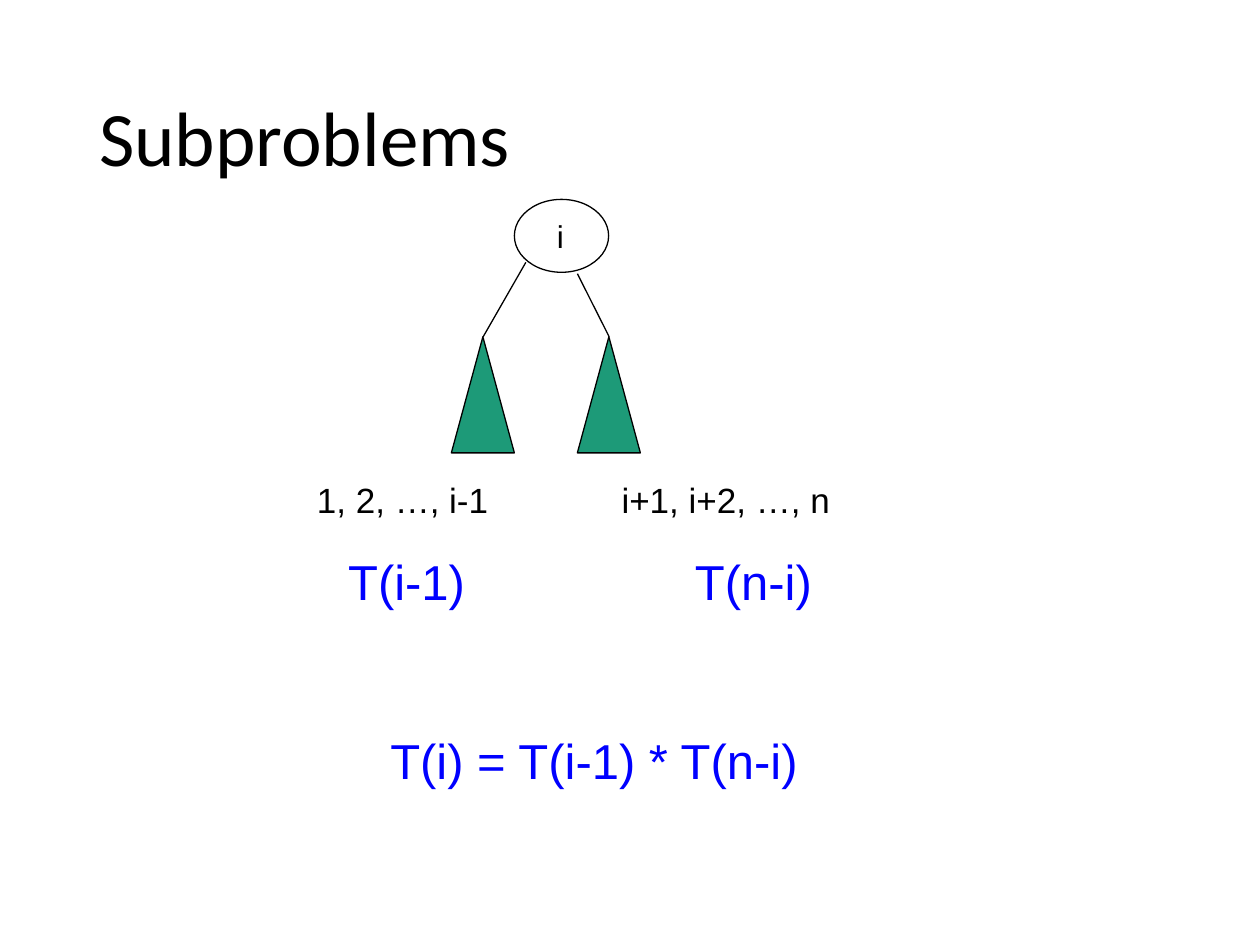
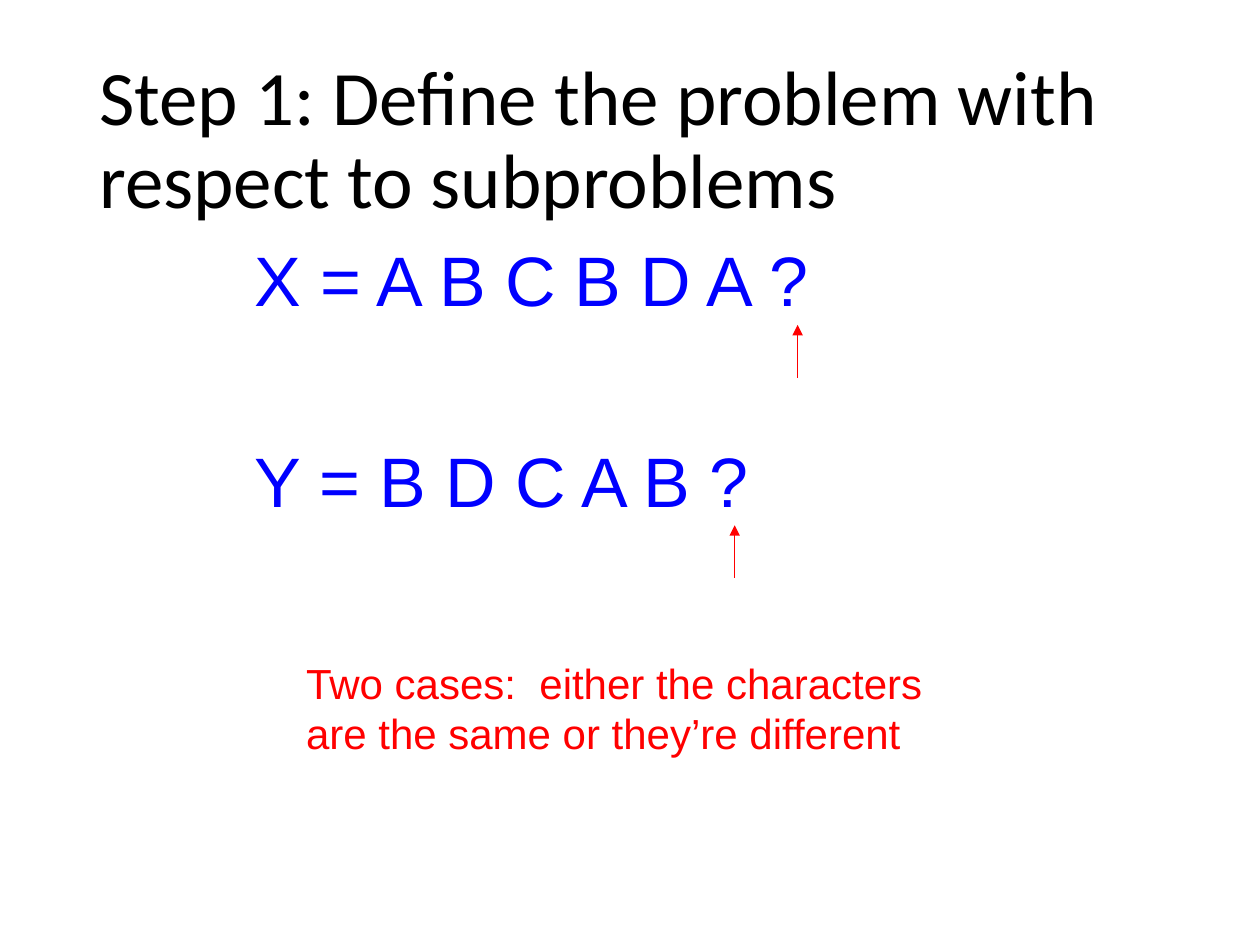
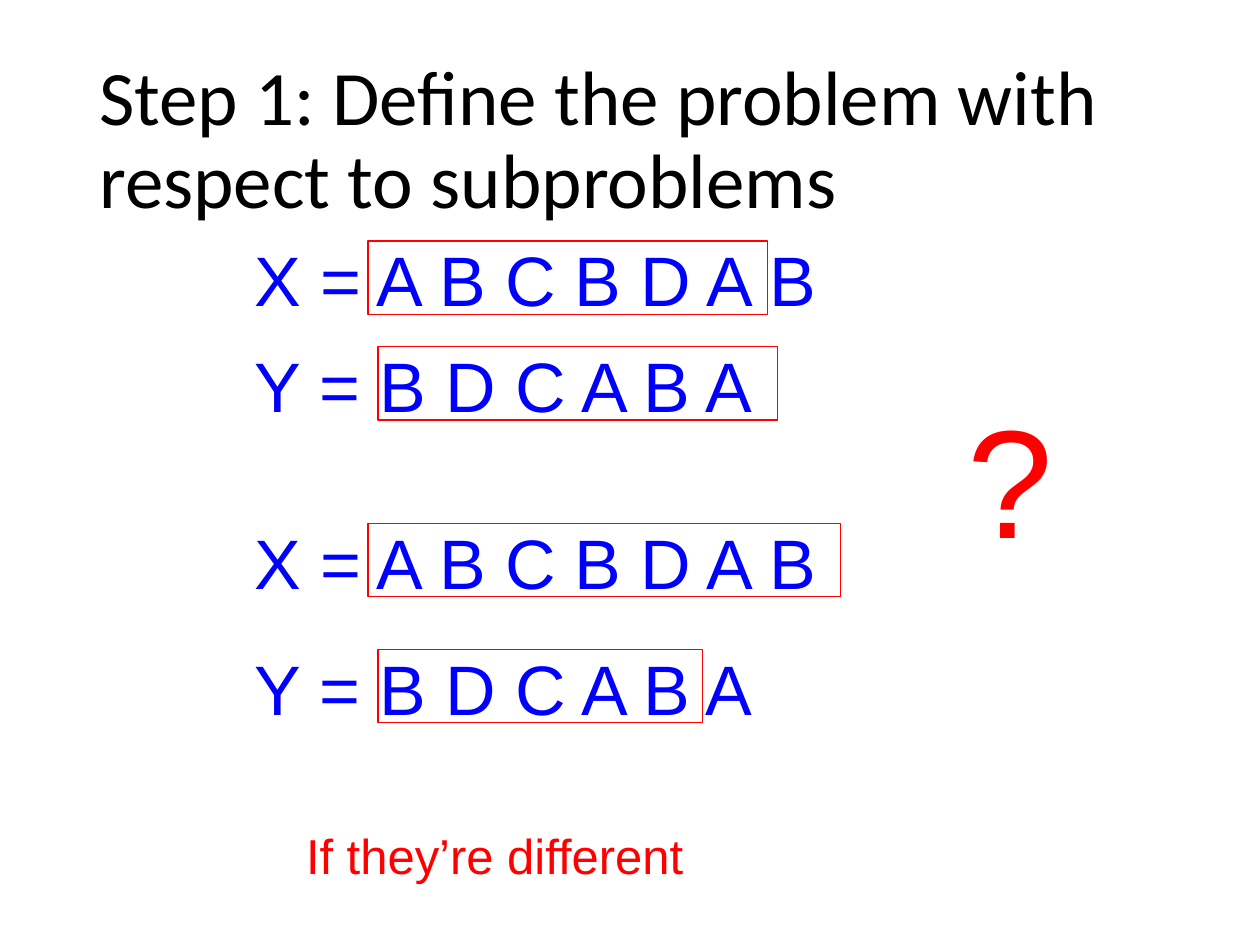
from lxml import etree
from pptx import Presentation
from pptx.dml.color import RGBColor
from pptx.enum.shapes import MSO_CONNECTOR, MSO_SHAPE
from pptx.enum.text import MSO_ANCHOR
from pptx.oxml.ns import qn
from pptx.util import Cm, Pt

LINE = MSO_CONNECTOR.STRAIGHT
OVAL = MSO_SHAPE.OVAL
RECT = MSO_SHAPE.RECTANGLE
CONE = MSO_SHAPE.ISOSCELES_TRIANGLE
MIDDLE = MSO_ANCHOR.MIDDLE

COLORS = {"ink": "000000", "blue": "0000FF", "red": "FF0000", "green": "1D9A78"}
STEP = "Step 1: Define the problem with respect to subproblems"
TITLE_BOX = (1.75, 1.02, 21.89, 3.68)
ROW_LEFT = 4.88


def color(name):
    """Return the named colour."""
    return RGBColor.from_string(COLORS[name])


def write(slide, box, text, size, tint="ink", font="Arial"):
    """Place one wrapped paragraph and return its frame."""
    frame = slide.shapes.add_textbox(*map(Cm, box)).text_frame
    frame.word_wrap = True
    frame.text = text
    style = frame.paragraphs[0].runs[0].font
    style.name, style.size = font, Pt(size)
    style.color.rgb = color(tint)
    return frame


def shape(slide, kind, box, tint="ink", fill=None):
    """Place an outlined preset shape."""
    item = slide.shapes.add_shape(kind, *map(Cm, box))
    item.shadow.inherit = False
    item.line.color.rgb = color(tint)
    item.line.width = Pt(0.75)
    if fill:
        item.fill.solid()
        item.fill.fore_color.rgb = color(fill)
    else:
        item.fill.background()


def link(slide, start, end, tint="ink", arrow=False):
    """Draw a thin line, with an arrowhead at its end if asked."""
    item = slide.shapes.add_connector(LINE, *map(Cm, (*start, *end)))
    item.line.color.rgb = color(tint)
    item.line.width = Pt(0.75)
    if arrow:
        etree.SubElement(item.line._get_or_add_ln(), qn("a:tailEnd"), type="triangle")
    etree.SubElement(item._element.spPr, qn("a:effectLst"))


def start(deck, title):
    """Add a blank slide with the shared title style."""
    slide = deck.slides.add_slide(deck.slide_layouts[6])
    frame = write(slide, TITLE_BOX, title, 44, font="Calibri")
    frame.vertical_anchor = MIDDLE
    frame.paragraphs[0].line_spacing = 0.9
    return slide


def tree(slide, left, top):
    """Draw a root node over two subtrees."""
    write(slide, (left + 1.7, top + 0.23, 1.7, 1.02), " i", 18)
    shape(slide, OVAL, (left + 1.27, top, 1.9, 1.47))
    crown = top + 2.77
    for shift, x, y in ((0, 1.5, 1.27), (2.54, 2.54, 1.5)):
        link(slide, (left + x, top + y), (left + shift + 0.64, crown))
        shape(slide, CONE, (left + shift, crown, 1.27, 2.34), fill="green")


def row(slide, top, text, frame=None, mark=None):
    """Write a sequence, with a frame (offset, width) or an arrow at mark."""
    write(slide, (ROW_LEFT, top, 13, 1.96), text, 40, "blue")
    if frame:
        shift, width = frame
        shape(slide, RECT, (ROW_LEFT + shift, top + 0.21, width, 1.48), "red")
    if mark:
        x = ROW_LEFT + mark
        link(slide, (x, top + 2.96), (x, top + 1.9), "red", True)


def split(deck):
    """Build the slide on the tree and its subproblems."""
    slide = start(deck, "Subproblems")
    tree(slide, 9.1, 4.02)
    write(slide, (6.14, 9.53, 4.45, 1.09), "1, 2, …, i-1", 20)
    write(slide, (12.28, 9.53, 5.5, 1.09), "i+1, i+2, …, n", 20)
    write(slide, (6.77, 11, 2.97, 1.45), "T(i-1)", 28, "blue")
    write(slide, (13.76, 11, 3.6, 1.45), "T(n-i)", 28, "blue")
    write(slide, (7.62, 14.6, 9.1, 1.45), "T(i) = T(i-1) * T(n-i)", 28, "blue")


def cases(deck):
    """Build the slide that compares the last characters."""
    slide = start(deck, STEP)
    row(slide, 4.65, "X = A B C B D A ?", mark=11.2)
    row(slide, 8.69, "Y = B D C A B ?", mark=9.93)
    note = "Two cases:  either the characters are the same or they’re different"
    write(slide, (5.92, 13.13, 13.54, 2.31), note, 24, "red")


def differ(deck):
    """Build the slide that drops one character from either sequence."""
    slide = start(deck, STEP)
    pairs = ((4.65, 8.05, 6.78, 8.05), (10.34, 9.53, 12.88, 6.55))
    for first, wide, second, span in pairs:
        row(slide, first, "X = A B C B D A B", (2.54, wide))
        row(slide, second, "Y = B D C A B A", (2.74, span))
    write(slide, (5.92, 16.51, 9.1, 1.45), "If they’re different", 28, "red")
    write(slide, (19.25, 7.62, 5.08, 3.99), "?", 88, "red")


def main():
    """Build and save the deck."""
    deck = Presentation()
    deck.slide_width, deck.slide_height = Cm(25.4), Cm(19.05)
    for build in (split, cases, differ):
        build(deck)
    deck.save("out.pptx")


main()
